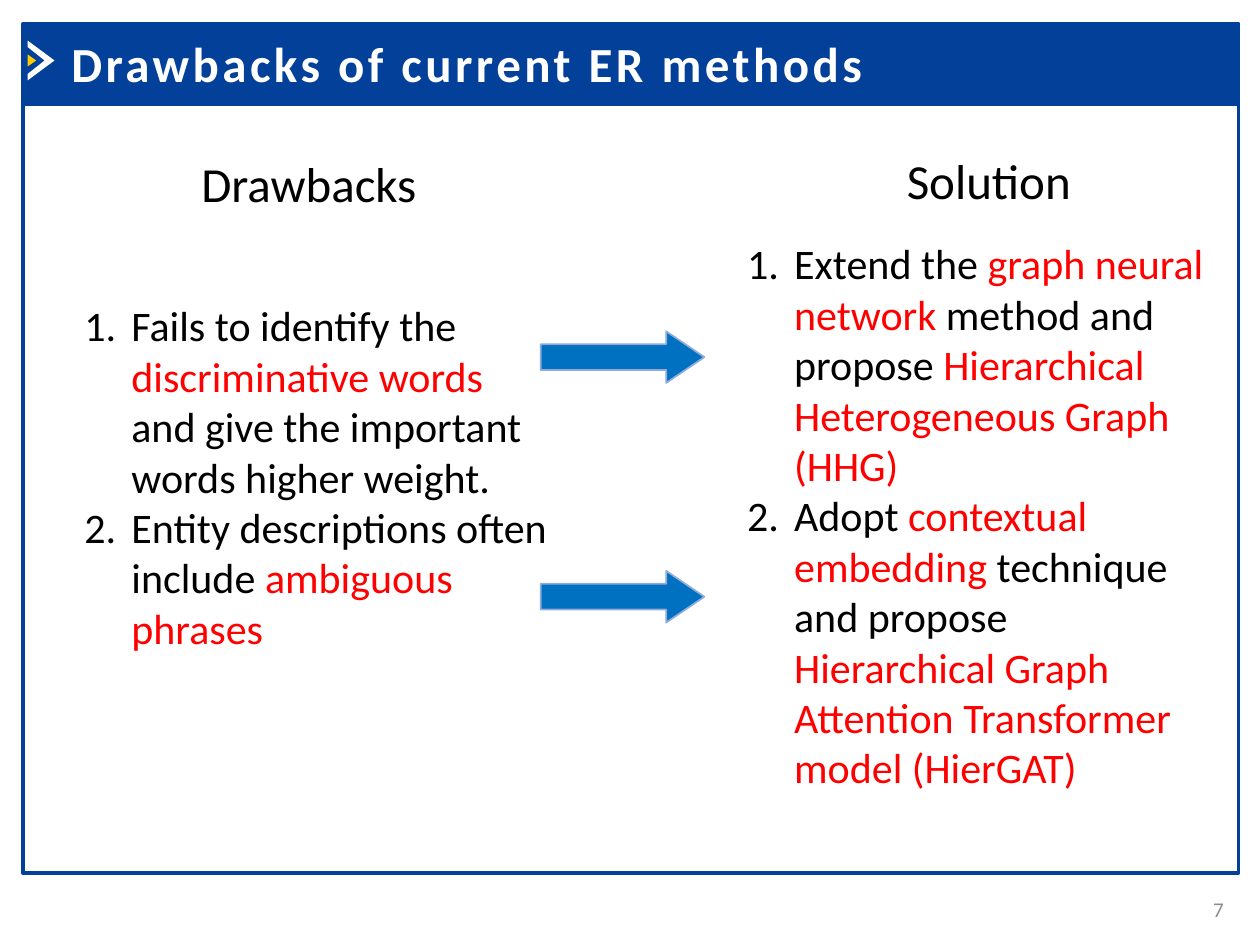
"""Build the slide that sets drawbacks of current ER methods against their solutions."""
import dataclasses

import pptx
import pptx.dml.color
import pptx.enum.shapes
import pptx.enum.text
import pptx.oxml
import pptx.util

Cm = pptx.util.Cm
Pt = pptx.util.Pt
MSO_SHAPE = pptx.enum.shapes.MSO_SHAPE
MSO_ANCHOR = pptx.enum.text.MSO_ANCHOR
PP_ALIGN = pptx.enum.text.PP_ALIGN


@dataclasses.dataclass(frozen=True)
class Theme:
    font: str = "Calibri"
    navy: str = "02409A"
    white: str = "FFFFFF"
    yellow: str = "FFCC00"
    black: str = "000000"
    red: str = "FF0000"
    grey: str = "8C8C8C"
    arrow_fill: str = "0070C0"
    arrow_line: str = "8FAADC"
    heading_size: int = 28
    body_size: int = 24
    number_size: int = 12


class SlideBuilder:
    def __init__(self, slide, theme):
        self.slide = slide
        self.theme = theme

    def color(self, value):
        return pptx.dml.color.RGBColor.from_string(value)

    def paint(self, shape, fill=None, line=None, line_width=1):
        shape.shadow.inherit = False
        if fill:
            shape.fill.solid()
            shape.fill.fore_color.rgb = self.color(fill)
        else:
            shape.fill.background()
        if line:
            shape.line.color.rgb = self.color(line)
            shape.line.width = Pt(line_width)
        else:
            shape.line.fill.background()

    def box(self, left, top, width, height, fill=None):
        shape = self.slide.shapes.add_shape(
            MSO_SHAPE.RECTANGLE, Cm(left), Cm(top), Cm(width), Cm(height))
        self.paint(shape, fill, self.theme.navy, 2)

    def arrow(self, left, top, width, height):
        shape = self.slide.shapes.add_shape(
            MSO_SHAPE.RIGHT_ARROW, Cm(left), Cm(top), Cm(width), Cm(height))
        shape.adjustments[1] = 0.74
        self.paint(shape, self.theme.arrow_fill, self.theme.arrow_line)

    def polygon(self, points, fill):
        corners = [(Cm(x), Cm(y)) for x, y in points]
        builder = self.slide.shapes.build_freeform(*corners[0])
        builder.add_line_segments(corners[1:], close=True)
        self.paint(builder.convert_to_shape(), fill)

    def style(self, run, size, color, bold=False):
        run.font.name = self.theme.font
        run.font.size = Pt(size)
        run.font.bold = bold
        run.font.color.rgb = self.color(color)

    def text_frame(self, left, top, width, height):
        shape = self.slide.shapes.add_textbox(Cm(left), Cm(top), Cm(width), Cm(height))
        shape.text_frame.word_wrap = True
        return shape.text_frame

    def label(self, text, area, size, color, bold=False, spacing=0, align=PP_ALIGN.LEFT,
              anchor=MSO_ANCHOR.TOP):
        text_frame = self.text_frame(*area)
        text_frame.text = text
        text_frame.vertical_anchor = anchor
        paragraph = text_frame.paragraphs[0]
        paragraph.alignment = align
        run = paragraph.runs[0]
        self.style(run, size, color, bold)
        if spacing:
            run.font._element.set("spc", str(spacing * 100))

    def numbered_list(self, items, area):
        text_frame = self.text_frame(*area)
        for index, item in enumerate(items):
            paragraph = text_frame.add_paragraph() if index else text_frame.paragraphs[0]
            properties = paragraph._p.get_or_add_pPr()
            properties.set("marL", str(Cm(0.95)))
            properties.set("indent", str(Cm(-0.95)))
            properties.append(pptx.oxml.parse_xml(
                '<a:buAutoNum xmlns:a="http://schemas.openxmlformats.org/drawingml/2006/main"'
                ' type="arabicPeriod"/>'))
            for text, color in item:
                run = paragraph.add_run()
                run.text = text
                self.style(run, self.theme.body_size, color)


def main():
    presentation = pptx.Presentation()
    presentation.slide_width, presentation.slide_height = Cm(25.4), Cm(19.05)
    theme = Theme()
    black, red = theme.black, theme.red
    builder = SlideBuilder(
        presentation.slides.add_slide(presentation.slide_layouts[6]), theme)

    builder.box(0.46, 2.11, 24.51, 15.49)
    builder.box(0.46, 0.48, 24.51, 1.63, theme.navy)
    builder.polygon([(0.56, 0.82), (1.1, 1.22), (0.56, 1.62), (0.56, 1.49),
                     (0.9, 1.22), (0.56, 0.95)], theme.white)
    builder.polygon([(0.56, 1.1), (0.73, 1.22), (0.56, 1.34)], theme.yellow)

    builder.label("7", (23.42, 17.81, 1.5, 1.02), theme.number_size, theme.grey,
                  align=PP_ALIGN.RIGHT, anchor=MSO_ANCHOR.MIDDLE)
    builder.label("Drawbacks of current ER methods", (1.19, 0.56, 18.54, 1.45),
                  theme.heading_size, theme.white, bold=True, spacing=2)

    builder.numbered_list([
        [("Fails to identify the ", black), ("discriminative words", red),
         (" and give the important words higher weight.", black)],
        [("Entity descriptions often include ", black), ("ambiguous phrases", red)],
    ], (1.45, 5.92, 9.83, 7.44))
    for top in (6.68, 11.51):
        builder.arrow(10.9, top, 3.3, 1.04)
    builder.numbered_list([
        [("Extend the ", black), ("graph neural network ", red),
         ("method and propose ", black), ("Hierarchical Heterogeneous Graph (HHG)", red)],
        [("Adopt ", black), ("contextual embedding", red),
         (" technique and propose ", black),
         ("Hierarchical Graph Attention Transformer model (HierGAT)", red)],
    ], (14.81, 4.67, 9.83, 11.53))

    for text, left, top in (("Drawbacks", 3.81, 2.97), ("Solution", 18.03, 2.9)):
        builder.label(text, (left, top, 8.08, 1.45), theme.heading_size, black)

    presentation.save("out.pptx")


if __name__ == "__main__":
    main()
